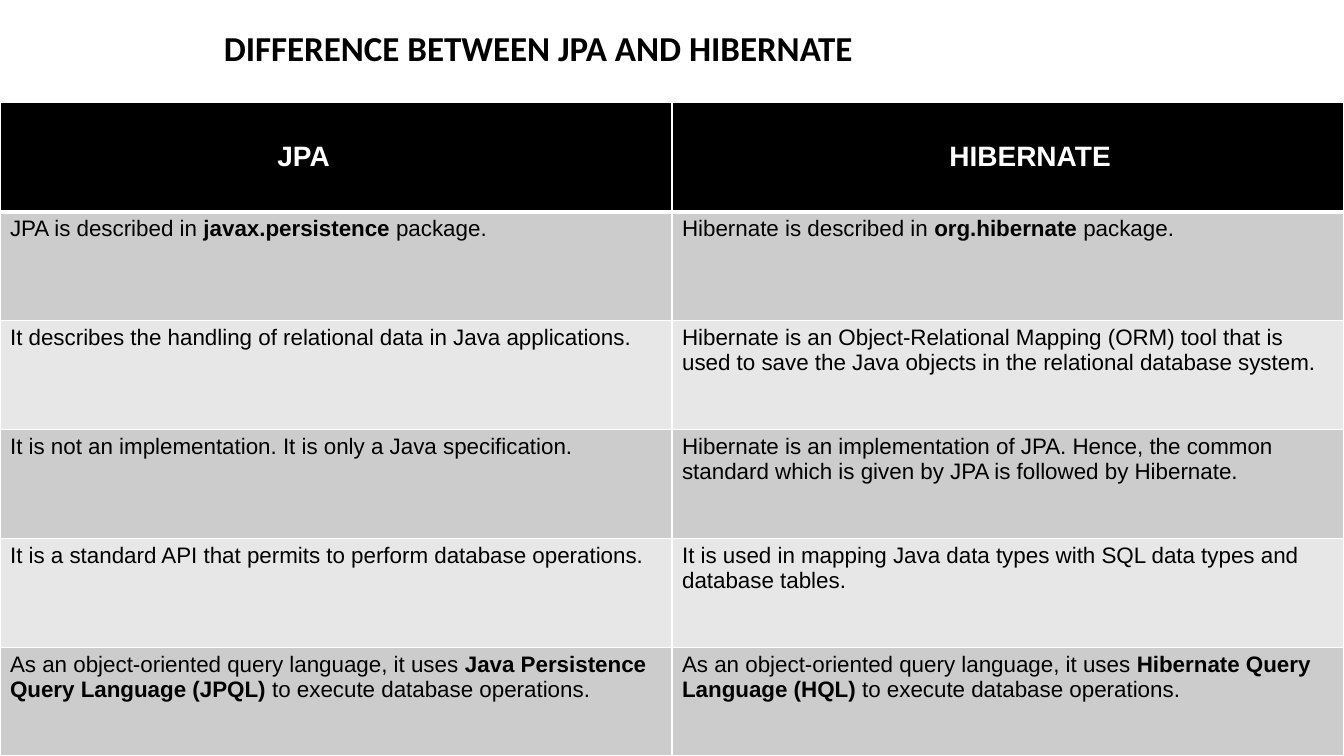
from lxml import etree
from pptx import Presentation
from pptx.dml.color import RGBColor
from pptx.enum import text
from pptx.oxml.ns import qn
from pptx.util import Inches, Pt

TITLE = "DIFFERENCE BETWEEN JPA AND HIBERNATE"
HEADINGS = ("JPA", "HIBERNATE")
COMPARISON = [
    (["JPA is described in ", "javax.persistence", " package."],
     ["Hibernate is described in ", "org.hibernate", " package."]),
    (["It describes the handling of relational data in Java applications."],
     ["Hibernate is an Object-Relational Mapping (ORM) tool that is used to save "
      "the Java objects in the relational database system."]),
    (["It is not an implementation. It is only a Java specification."],
     ["Hibernate is an implementation of JPA. Hence, the common standard which is "
      "given by JPA is followed by Hibernate."]),
    (["It is a standard API that permits to perform database operations."],
     ["It is used in mapping Java data types with SQL data types and database tables."]),
    (["As an object-oriented query language, it uses ",
      "Java Persistence Query Language (JPQL)", " to execute database operations."],
     ["As an object-oriented query language, it uses ",
      "Hibernate Query Language (HQL)", " to execute database operations."]),
]

COLORS = {"black": "000000", "white": "FFFFFF", "dark": "CCCCCC", "light": "E7E7E7"}
TITLE_FONT = {"name": "Calibri", "size": Pt(25), "bold": True}
HEADING_FONT = {"name": "Arial", "size": Pt(20), "bold": True}
BODY_FONT = {"name": "Arial", "size": Pt(16), "bold": False}
BOLD_FONT = {**BODY_FONT, "bold": True}
TITLE_FRAME = {"word_wrap": True, "vertical_anchor": text.MSO_ANCHOR.MIDDLE,
               "margin_left": Inches(2.1)}
HEADING_CELL = {"vertical_anchor": text.MSO_ANCHOR.MIDDLE, "margin_left": Inches(2.75)}

SLIDE_W, SLIDE_H = 13.33, 7.5
TABLE_TOP = 1.02


def apply(target, values):
    for key, value in values.items():
        setattr(target, key, value)


def rgb(color):
    return RGBColor.from_string(COLORS[color])


def add_run(paragraph, words, font, color):
    run = paragraph.add_run()
    run.text = words
    apply(run.font, font)
    run.font.color.rgb = rgb(color)


def add_borders(cell, widths):
    properties = cell._tc.get_or_add_tcPr()
    for side, width in widths.items():
        line = etree.SubElement(properties, qn(f"a:ln{side}"), w=str(Pt(width)))
        fill = etree.SubElement(line, qn("a:solidFill"))
        etree.SubElement(fill, qn("a:srgbClr"), val=COLORS["white"])


def main():
    deck = Presentation()
    apply(deck, {"slide_width": Inches(SLIDE_W), "slide_height": Inches(SLIDE_H)})
    slide = deck.slides.add_slide(deck.slide_layouts[6])

    rows = [tuple([heading] for heading in HEADINGS)] + COMPARISON
    table_h = SLIDE_H - TABLE_TOP
    table = slide.shapes.add_table(
        len(rows), len(HEADINGS), 0, Inches(TABLE_TOP), Inches(SLIDE_W), Inches(table_h)
    ).table
    for column in table.columns:
        column.width = Inches(SLIDE_W / len(HEADINGS))

    for r, row in enumerate(rows):
        table.rows[r].height = Inches(table_h / len(rows))
        is_heading = r == 0
        shade = "black" if is_heading else ("light", "dark")[r % 2]
        ink = "white" if is_heading else "black"
        fonts = (HEADING_FONT,) if is_heading else (BODY_FONT, BOLD_FONT)
        borders = {"L": 1, "R": 1, "T": 3 if r == 1 else 1, "B": 3 if is_heading else 1}
        for c, pieces in enumerate(row):
            cell = table.cell(r, c)
            add_borders(cell, borders)
            cell.fill.solid()
            cell.fill.fore_color.rgb = rgb(shade)
            if is_heading:
                apply(cell, HEADING_CELL)
            for i, words in enumerate(pieces):
                add_run(cell.text_frame.paragraphs[0], words, fonts[i % len(fonts)], ink)

    title = slide.shapes.add_textbox(Inches(0.12), Inches(0.11), Inches(10.02), Inches(0.73))
    apply(title.text_frame, TITLE_FRAME)
    add_run(title.text_frame.paragraphs[0], TITLE, TITLE_FONT, "black")

    deck.save("out.pptx")


if __name__ == "__main__":
    main()
